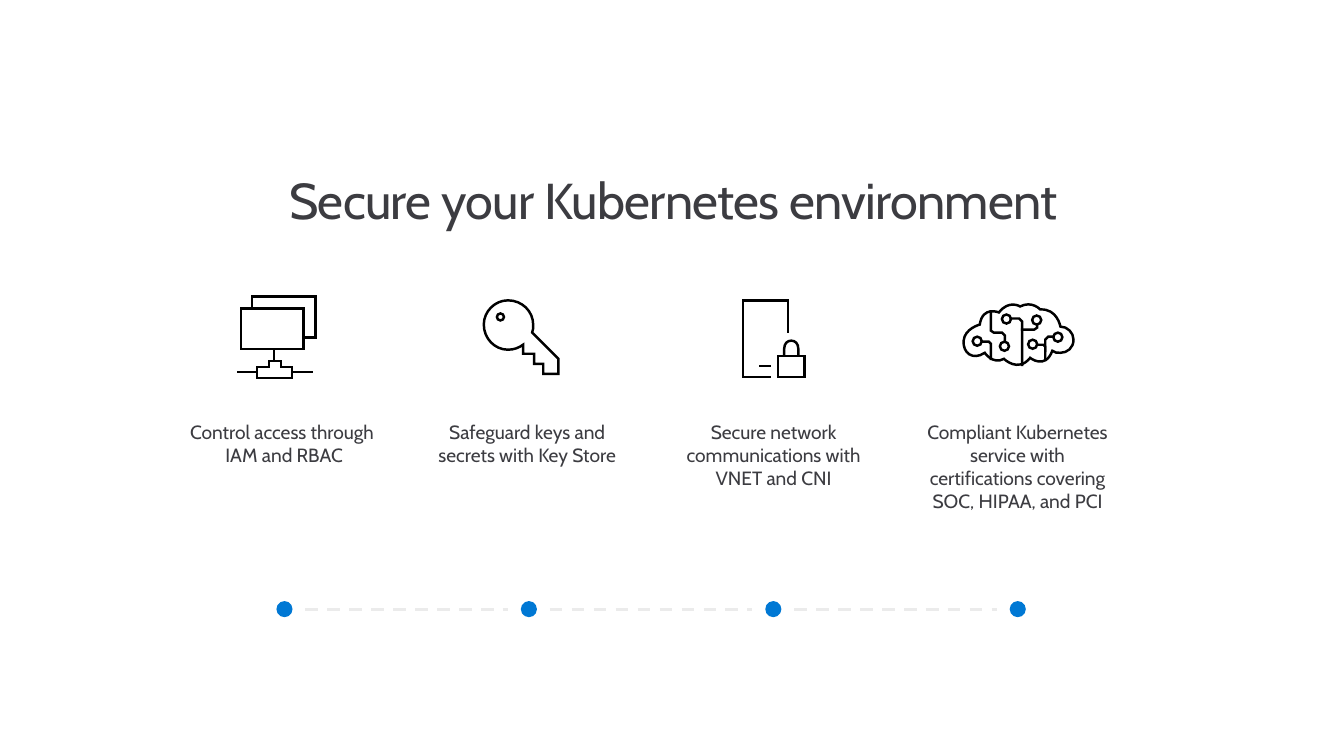
from lxml import etree
from pptx import Presentation
from pptx.dml.color import RGBColor
from pptx.enum.dml import MSO_LINE
from pptx.enum.shapes import MSO_CONNECTOR, MSO_SHAPE
from pptx.enum.text import MSO_ANCHOR, MSO_AUTO_SIZE, PP_ALIGN
from pptx.oxml.ns import qn
from pptx.util import Pt

ELLIPSE = MSO_SHAPE.OVAL
STRAIGHT = MSO_CONNECTOR.STRAIGHT
DASH = MSO_LINE.DASH
CENTER = PP_ALIGN.CENTER
TOP = MSO_ANCHOR.TOP
GROW = MSO_AUTO_SIZE.SHAPE_TO_FIT_TEXT

ICON_GRID = 0.72  # points per unit of the icon outlines
CIRCLE_HANDLE = 0.55  # handle length of a quarter circle, per radius


def color(value):
    return RGBColor.from_string(value)


# An icon is a list of contours. A contour is a list of steps, and a step is a
# tuple of points: one point for a line, two handles and an end for a curve.
def lines(*points):
    return [(point,) for point in points]


def circle(x, y, radius):
    steps = lines((x + radius, y))
    for dx, dy in [(1, 0), (0, 1), (-1, 0), (0, -1)]:
        steps.append(tuple(
            (x + radius * (along * dx - turn * dy), y + radius * (along * dy + turn * dx))
            for along, turn in [(1, CIRCLE_HANDLE), (CIRCLE_HANDLE, 1), (0, 1)]))
    return steps


def rectangle(left, top, right, bottom):
    return lines((left, top), (right, top), (right, bottom), (left, bottom), (left, top))


NETWORK_ICON = [
    rectangle(239, 306, 301, 346),
    lines((301, 335), (313, 335), (313, 294), (250, 294), (250, 306)),
    lines((290, 375), (290, 364), (279, 364), (279, 358), (267, 358), (267, 364),
          (255, 364), (255, 375), (290, 375)),
    lines((255, 369), (236, 369)),
    lines((290, 369), (309, 369)),
    lines((272, 358), (272, 346)),
]
KEY_ICON = [
    [((519, 342),),
     ((515, 345), (510, 347), (504, 347)),
     ((491, 347), (480, 336), (480, 322)),
     ((480, 309), (491, 298), (504, 298)),
     ((518, 298), (529, 309), (529, 322)),
     ((529, 325), (529, 328), (528, 330)),
     *lines((554, 356), (554, 371), (539, 371), (539, 361), (530, 361),
            (530, 351), (519, 351), (519, 342))],
    circle(496.5, 314.5, 3.5),
]
LOCK_ICON = [
    lines((764, 374), (737, 374), (737, 298), (782, 298), (782, 329)),
    rectangle(772, 353, 798, 374),
    [*lines((792, 353), (792, 346)),
     ((792, 341), (789, 338), (785, 338)),
     ((781, 338), (778, 341), (778, 346)),
     ((778, 353),)],
    lines((754, 363), (764, 363)),
]
BRAIN_NODES = [(1049.5, 334.5), (1024.5, 341.5), (998.5, 316.5),
               (1028.5, 317.5), (996.5, 343.5), (969.5, 338.5)]
BRAIN_ICON = [circle(x, y, 4.5) for x, y in BRAIN_NODES] + [
    lines((983, 356), (983, 341), (981, 339), (974, 339)),
    lines((1014, 362), (1014, 319), (1011, 316), (1003, 316)),
    lines((1014, 327), (1026, 327), (1029, 325), (1029, 322)),
    lines((983, 309), (983, 328), (986, 330), (994, 330), (997, 333), (997, 339)),
    lines((1045, 334), (1040, 334), (1037, 337), (1037, 348)),
    lines((1037, 357), (1037, 344), (1035, 342), (1029, 342)),
    [((1044, 348),),
     ((1046, 350), (1049, 350), (1052, 350)),
     ((1059, 350), (1065, 345), (1065, 337)),
     ((1065, 330), (1059, 324), (1052, 324)),
     ((1052, 324), (1049, 306), (1032, 307)),
     ((1032, 307), (1024, 298), (1012, 304)),
     ((1012, 304), (1001, 297), (991, 310)),
     ((991, 310), (975, 303), (972, 322)),
     ((972, 322), (957, 326), (956, 338)),
     ((955, 350), (965, 358), (977, 350)),
     ((977, 350), (985, 362), (996, 356)),
     ((996, 356), (1010, 370), (1022, 355)),
     ((1022, 355), (1037, 367), (1044, 348))],
]

# Caption left, caption width, caption lines tall, caption, icon
COLUMNS = [
    (104.4, 197.3, 2, "Control access through \nIAM and RBAC", NETWORK_ICON),
    (297.4, 158.4, 2, "Safeguard keys and secrets with Key Store", KEY_ICON),
    (468, 169.2, 3, "Secure network communications with VNET and CNI", LOCK_ICON),
    (644.4, 164.9, 4, "Compliant Kubernetes service with certifications "
     "covering SOC, HIPAA, and PCI", BRAIN_ICON),
]


class SecuritySlide:
    font_name = "Cabin"
    ink = "3C3C41"
    icon_ink = "000000"
    dot_color = "0078D4"
    dash_color = "EBEBEB"

    def __init__(self, presentation):
        self.slide = presentation.slides.add_slide(presentation.slide_layouts[6])

    def text(self, shapes, left, top, width, height, wording, size, inset=0,
             line_spacing=None, space_after=0, tracking=None):
        shape = shapes.add_textbox(Pt(left), Pt(top), Pt(width), Pt(height))
        frame = shape.text_frame
        frame.word_wrap = True
        frame.auto_size = GROW
        frame.vertical_anchor = TOP
        frame.margin_left = frame.margin_right = Pt(inset)
        frame.margin_top = frame.margin_bottom = Pt(inset)
        paragraph = frame.paragraphs[0]
        paragraph.alignment = CENTER
        paragraph.space_after = Pt(space_after)
        if line_spacing:
            paragraph.line_spacing = Pt(line_spacing)
        for index, line in enumerate(wording.split("\n")):
            if index:
                paragraph.add_line_break()
            run = paragraph.add_run()
            run.text = line
            run.font.name = self.font_name
            run.font.size = Pt(size)
            run.font.color.rgb = color(self.ink)
            if tracking:
                run.font._element.set("spc", str(round(tracking * 100)))

    def icon(self, shapes, contours):
        outlines = [[[(Pt(x * ICON_GRID), Pt(y * ICON_GRID)) for x, y in step]
                     for step in contour] for contour in contours]
        builder = shapes.build_freeform(*outlines[0][0][-1])
        for index, outline in enumerate(outlines):
            start, *ends = [step[-1] for step in outline]
            if index:
                builder.move_to(*start)
            builder.add_line_segments(ends, close=ends[-1] == start)
        shape = builder.convert_to_shape()
        self.bend(shape, [step for outline in outlines for step in outline[1:]])
        shape.shadow.inherit = False
        shape.fill.background()
        shape.line.color.rgb = color(self.icon_ink)
        shape.line.width = Pt(1.75)
        outline_properties = shape.line._get_or_add_ln()
        outline_properties.set("cap", "sq")
        etree.SubElement(outline_properties, qn("a:miter"), lim="800000")

    def bend(self, shape, steps):
        """Turn the straight segments that have handles into cubic curves."""
        segments = list(shape._element.iter(qn("a:lnTo")))
        for segment, (*handles, _) in zip(segments, steps):
            if handles:
                segment_curve = etree.Element(qn("a:cubicBezTo"))
                for x, y in handles:
                    etree.SubElement(segment_curve, qn("a:pt"),
                                     x=str(x - shape.left), y=str(y - shape.top))
                segment_curve.append(segment[0])
                segment.getparent().replace(segment, segment_curve)

    def column(self, left, width, line_count, caption, contours):
        shapes = self.slide.shapes.add_group_shape().shapes
        self.icon(shapes, contours)
        self.text(shapes, left, 288.7, width, 23 + 16.6 * line_count, caption, 13.7,
                  inset=11.5, space_after=5.9)

    def dot(self, center, middle, diameter):
        shape = self.slide.shapes.add_shape(
            ELLIPSE, Pt(center - diameter / 2), Pt(middle - diameter / 2),
            Pt(diameter), Pt(diameter))
        shape.shadow.inherit = False
        shape.fill.solid()
        shape.fill.fore_color.rgb = color(self.dot_color)
        shape.line.fill.background()

    def dashes(self, left, right, middle):
        connector = self.slide.shapes.add_connector(
            STRAIGHT, Pt(left), Pt(middle), Pt(right), Pt(middle))
        connector.line.color.rgb = color(self.dash_color)
        connector.line.width = Pt(2.25)
        connector.line.dash_style = DASH
        etree.SubElement(connector._element.spPr, qn("a:effectLst"))


def main():
    presentation = Presentation()
    presentation.slide_width = Pt(960)
    presentation.slide_height = Pt(540)
    page = SecuritySlide(presentation)
    page.text(page.slide.shapes, 36, 132.5, 890, 31.7,
              "Secure your Kubernetes environment", 36,
              line_spacing=31.4, tracking=-0.5)
    first_center, pitch, middle, gap = 203.2, 174.6, 435.1, 15
    for index, column in enumerate(COLUMNS):
        center = first_center + index * pitch
        if index:
            page.dashes(center - pitch + gap, center - gap, middle)
        page.dot(center, middle, 11.5)
        page.column(*column)
    presentation.save("out.pptx")


if __name__ == "__main__":
    main()
